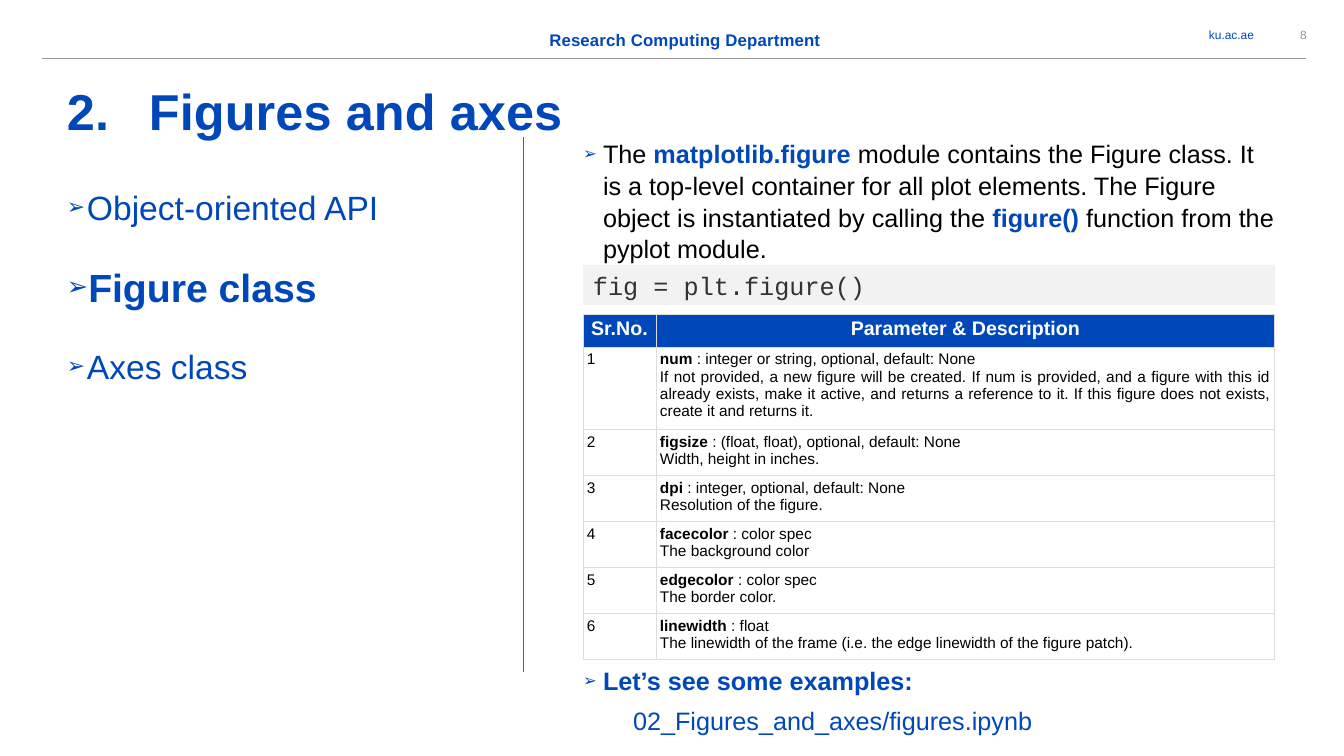
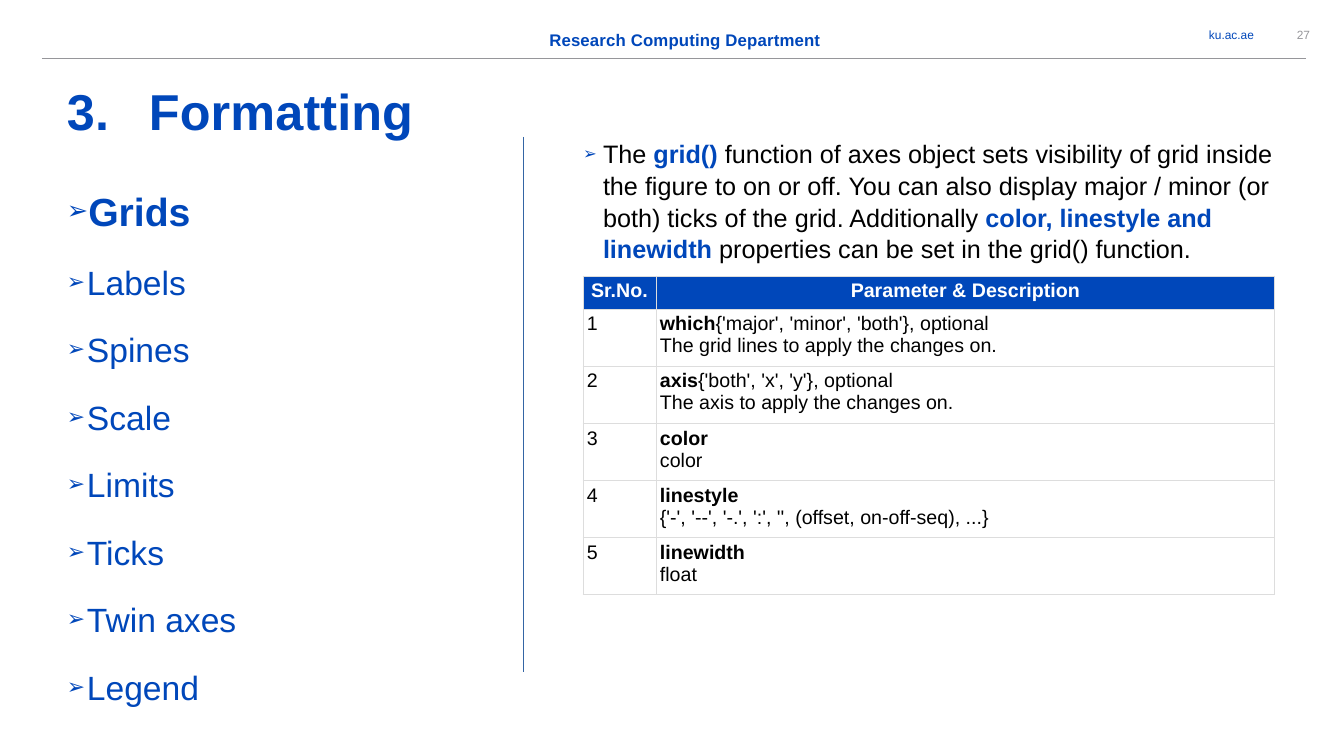
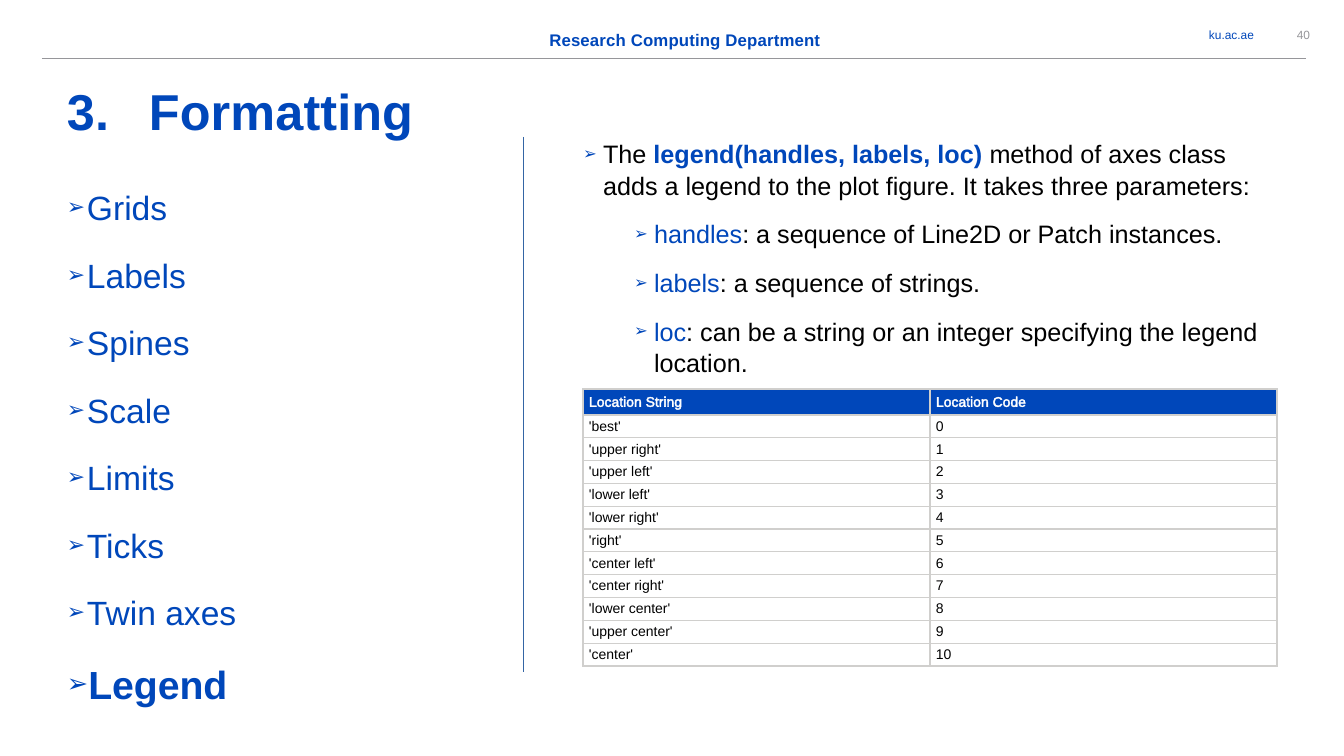
import pptx
import pptx.dml.color
import pptx.enum.shapes
import pptx.enum.text
import pptx.oxml.ns
import pptx.oxml.xmlchemy
import pptx.util
from lxml import etree

COLORS = {
    "blue": "0047BA", "gray": "96969A", "black": "000000", "white": "FFFFFF",
    "divider": "3465A4", "code_fill": "F2F2F2", "code_text": "333333",
    "grid": "DDDDDD", "location_grid": "D0CFCD",
}
PX_PER_INCH = 100.8
ALIGN = pptx.enum.text.PP_ALIGN
ANCHOR = pptx.enum.text.MSO_ANCHOR
HEADER_BOX = (42, 22, 1290, 37)
TITLE_BOX = (67, 77, 1209, 61)
TOPICS_BOX = (67, 185, 457, 500)
CONTENT_BOX = (583, 137, 692, 535)
FORMATTING_TOPICS = ["Grids", "Labels", "Spines", "Scale", "Limits", "Ticks", "Twin axes", "Legend"]


def px(length):
    """Turn px into EMU."""
    return pptx.util.Emu(round(length * 914400 / PX_PER_INCH))


def rgb(name):
    """Look up a colour by name."""
    return pptx.dml.color.RGBColor.from_string(COLORS[name])


def add_child(parent, tag, **attributes):
    """Append a drawing element with the given attributes."""
    return etree.SubElement(parent, pptx.oxml.ns.qn("a:" + tag), attributes)


def set_bullet(paragraph, margin, hang, start=None, mark=True):
    """Give a paragraph its indent and an arrow bullet or a number."""
    properties = paragraph._p.get_or_add_pPr()
    properties.set("marL", str(px(margin)))
    properties.set("indent", str(-px(hang)))
    if start:
        add_child(properties, "buFont", typeface="+mj-lt")
        add_child(properties, "buAutoNum", type="arabicPeriod", startAt=str(start))
    elif mark:
        add_child(add_child(properties, "buClr"), "srgbClr", val=COLORS["blue"])
        add_child(properties, "buSzPct", val="65000")
        add_child(properties, "buFont", typeface="Arial")
        add_child(properties, "buChar", char="➢")
    else:
        add_child(properties, "buNone")


def write(paragraph, runs, size, color="black", bold=False, align=ALIGN.LEFT,
          font="Arial", line_spacing=None, space_before=0, tracking=None):
    """Fill a paragraph with text, or with runs of (text, colour, bold)."""
    paragraph.alignment = align
    paragraph.space_before = pptx.util.Pt(space_before)
    if line_spacing:
        paragraph.line_spacing = line_spacing
    paragraph.font.name = font
    paragraph.font.size = pptx.util.Pt(size)
    if isinstance(runs, str):
        paragraph.font.color.rgb = rgb(color)
        paragraph.font.bold = bold
        paragraph.add_run().text = runs
    else:
        for text, run_color, run_bold in runs:
            run = paragraph.add_run()
            run.text = text
            run.font.color.rgb = rgb(run_color)
            run.font.bold = run_bold
    if tracking:
        paragraph._p.pPr.find(pptx.oxml.ns.qn("a:defRPr")).set("spc", str(tracking))


def next_paragraph(frame, index):
    """Return the first paragraph of a frame, or add one."""
    return frame.add_paragraph() if index else frame.paragraphs[0]


def add_text_box(slide, box, anchor=ANCHOR.TOP):
    """Add a wrapping text box without insets and return its frame."""
    frame = slide.shapes.add_textbox(*map(px, box)).text_frame
    frame.word_wrap = True
    frame.vertical_anchor = anchor
    frame.margin_left = frame.margin_right = frame.margin_top = frame.margin_bottom = 0
    return frame


def add_line(slide, start, end, color):
    """Draw a thin straight line."""
    line = slide.shapes.add_connector(
        pptx.enum.shapes.MSO_CONNECTOR.STRAIGHT, *map(px, start + end))
    line.line.color.rgb = rgb(color)
    line.line.width = pptx.util.Pt(0.75)
    add_child(line._element.spPr, "effectLst")


def add_header(slide, box, number):
    """Place department, web address, page number and rule."""
    left, top, width, height = box
    right = left + width
    frame = add_text_box(slide, (right - 184, top, 106, 26), ANCHOR.MIDDLE)
    write(frame.paragraphs[0], "ku.ac.ae", 8.5, "blue", align=ALIGN.RIGHT)
    add_line(slide, (left, top + height), (right - 26, top + height), "gray")
    frame = add_text_box(slide, (left + 482, top + 7, 322, 20))
    write(frame.paragraphs[0], "Research Computing Department", 12, "blue", True,
          ALIGN.CENTER, line_spacing=1.05, tracking=10)
    frame = add_text_box(slide, (right - 57, top, 57, 26), ANCHOR.MIDDLE)
    write(frame.paragraphs[0], str(number), 8.5, "gray", align=ALIGN.CENTER)


def add_title(slide, box, section, title):
    """Write the numbered section title."""
    paragraph = add_text_box(slide, box).paragraphs[0]
    set_bullet(paragraph, 82, 82, start=section)
    write(paragraph, title, 36, "blue", True, line_spacing=1.05, tracking=10)


def add_topics(slide, box, topics, active, gap):
    """List the topics with the active one larger and bold."""
    frame = add_text_box(slide, box)
    for index, topic in enumerate(topics):
        paragraph = next_paragraph(frame, index)
        set_bullet(paragraph, 20, 20)
        current = topic == active
        write(paragraph, topic, 28 if current else 24, "blue", current,
              line_spacing=1.05, space_before=gap if index else 0)


def add_points(slide, box, points, gap):
    """Write content points of (runs, margin, hang, marked)."""
    frame = add_text_box(slide, box)
    for index, (runs, margin, hang, marked) in enumerate(points):
        paragraph = next_paragraph(frame, index)
        set_bullet(paragraph, margin, hang, mark=marked)
        write(paragraph, runs, 18, line_spacing=1.05, space_before=gap if index else 0)


def add_code(slide, box, code):
    """Place a line of code on a gray band."""
    shape = slide.shapes.add_shape(pptx.enum.shapes.MSO_SHAPE.RECTANGLE, *map(px, box))
    shape.shadow.inherit = False
    shape.fill.solid()
    shape.fill.fore_color.rgb = rgb("code_fill")
    shape.line.fill.background()
    write(shape.text_frame.paragraphs[0], code, 18, "code_text", font="Courier New")


def style_cell(cell, fill, border, border_width, insets, anchor):
    """Set the fill, borders, insets and anchor of a cell."""
    cell.margin_left = cell.margin_right = px(insets[0])
    cell.margin_top = cell.margin_bottom = px(insets[1])
    cell.vertical_anchor = anchor
    properties = cell._tc.get_or_add_tcPr()
    for side in ("lnL", "lnR", "lnT", "lnB"):
        line = add_child(properties, side, w=str(pptx.util.Pt(border_width)))
        add_child(add_child(line, "solidFill"), "srgbClr", val=COLORS[border])
    cell.fill.solid()
    cell.fill.fore_color.rgb = rgb(fill)


def add_grid(slide, box, column_widths, header_height, weights, border,
             border_width=0.75, insets=(4, 4), anchor=ANCHOR.TOP):
    """Add a styled table whose body rows share the height by weight."""
    table = slide.shapes.add_table(
        len(weights) + 1, len(column_widths), *map(px, box)).table
    table.horz_banding = False
    for column, width in zip(table.columns, column_widths):
        column.width = px(width)
    unit = (box[3] - header_height) / sum(weights)
    heights = [header_height] + [weight * unit for weight in weights]
    for index, (row, height) in enumerate(zip(table.rows, heights)):
        row.height = px(height)
        for cell in row.cells:
            style_cell(cell, "white" if index else "blue", border, border_width, insets, anchor)
    return table


def add_parameter_table(slide, box, parameters, size, weights):
    """Fill a table of numbered parameters of (name, signature, description)."""
    table = add_grid(slide, box, (73, box[2] - 73), 33, weights, "grid")
    for column, heading in enumerate(("Sr.No.", "Parameter & Description")):
        write(table.cell(0, column).text_frame.paragraphs[0], heading, 14, "white", True, ALIGN.CENTER)
    for index, (name, signature, description) in enumerate(parameters, 1):
        write(table.cell(index, 0).text_frame.paragraphs[0], str(index), size)
        frame = table.cell(index, 1).text_frame
        runs = [(name, "black", True)]
        if signature:
            runs.append((signature, "black", False))
        write(frame.paragraphs[0], runs, size, align=ALIGN.JUSTIFY)
        write(frame.add_paragraph(), description, size, align=ALIGN.JUSTIFY)


def add_location_table(slide, box, locations):
    """Fill a table of location strings and their codes."""
    table = add_grid(slide, box, (box[2] / 2, box[2] / 2), 26, [1] * len(locations),
                     "location_grid", 1, (6, 3), ANCHOR.MIDDLE)
    rows = [("Location String", "Location Code")]
    rows += [(f"'{location}'", str(code)) for code, location in enumerate(locations)]
    for index, row in enumerate(rows):
        for column, text in enumerate(row):
            paragraph = table.cell(index, column).text_frame.paragraphs[0]
            write(paragraph, text, 10, "black" if index else "white")
            if index == 0:
                outline = add_child(paragraph.runs[0]._r.get_or_add_rPr(), "ln", w="9525")
                add_child(add_child(outline, "solidFill"), "srgbClr", val=COLORS["white"])


def add_section_slide(presentation, number, section, title, topics, active, gap):
    """Add a slide with header, title, topic list and divider."""
    slide = presentation.slides.add_slide(presentation.slide_layouts[6])
    add_header(slide, HEADER_BOX, number)
    add_title(slide, TITLE_BOX, section, title)
    add_topics(slide, TOPICS_BOX, topics, active, gap)
    left, top, _, height = CONTENT_BOX
    add_line(slide, (left - 59, top), (left - 59, top + height), "divider")
    return slide


def build_figure_slide(presentation, box):
    """Build the slide on the Figure class."""
    slide = add_section_slide(
        presentation, 8, 2, "Figures and axes",
        ["Object-oriented API", "Figure class", "Axes class"], "Figure class", 24)
    left, top, width, _ = box
    add_points(slide, (left, top, width, 122), [([
        ("The ", "black", False), ("matplotlib.figure", "blue", True),
        (" module contains the Figure class. It is a top-level container for all plot elements. "
         "The Figure object is instantiated by calling the ", "black", False),
        ("figure()", "blue", True), (" function from the pyplot module.", "black", False),
    ], 20, 20, True)], 0)
    add_code(slide, (left, top + 128, width, 40), "fig = plt.figure()")
    add_parameter_table(slide, (left, top + 177, width, 346), [
        ("num", " : integer or string, optional, default: None",
         "If not provided, a new figure will be created. If num is provided, and a figure with "
         "this id already exists, make it active, and returns a reference to it. If this figure "
         "does not exists, create it and returns it."),
        ("figsize", " : (float, float), optional, default: None", "Width, height in inches."),
        ("dpi", " : integer, optional, default: None", "Resolution of the figure."),
        ("facecolor", " : color spec", "The background color"),
        ("edgecolor", " : color spec", "The border color."),
        ("linewidth", " : float",
         "The linewidth of the frame (i.e. the edge linewidth of the figure patch)."),
    ], 11, [83] + [46] * 5)
    add_points(slide, (left, top + 527, width, 70), [
        ([("Let’s see some examples:", "blue", True)], 20, 20, True),
        ([("02_Figures_and_axes/figures.ipynb", "blue", False)], 50, 0, False),
    ], 6)


def build_grids_slide(presentation, box):
    """Build the slide on grids."""
    slide = add_section_slide(
        presentation, 27, 3, "Formatting", FORMATTING_TOPICS, "Grids", 18)
    left, top, width, _ = box
    add_points(slide, (left, top, width, 122), [([
        ("The ", "black", False), ("grid()", "blue", True),
        (" function of axes object sets visibility of grid inside the figure to on or off. "
         "You can also display major / minor (or both) ticks of the grid. Additionally ",
         "black", False),
        ("color, linestyle and linewidth", "blue", True),
        (" properties can be set in the grid() function.", "black", False),
    ], 20, 20, True)], 0)
    add_parameter_table(slide, (left, top + 139, width, 319), [
        ("which", "{'major', 'minor', 'both'}, optional", "The grid lines to apply the changes on."),
        ("axis", "{'both', 'x', 'y'}, optional", "The axis to apply the changes on."),
        ("color", "", "color"),
        ("linestyle", "", "{'-', '--', '-.', ':', '', (offset, on-off-seq), ...}"),
        ("linewidth", "", "float"),
    ], 14, [1] * 5)


def build_legend_slide(presentation, box):
    """Build the slide on legends."""
    slide = add_section_slide(
        presentation, 40, 3, "Formatting", FORMATTING_TOPICS, "Legend", 18)
    left, top, width, _ = box
    points = [([
        ("The ", "black", False), ("legend(handles, labels, loc) ", "blue", True),
        ("method of axes class adds a legend to the plot figure. It takes three parameters:",
         "black", False),
    ], 20, 20, True)]
    for name, meaning in (
        ("handles", ": a sequence of Line2D or Patch instances."),
        ("labels", ": a sequence of strings."),
        ("loc", ": can be a string or an integer specifying the legend location."),
    ):
        points.append(([(name, "blue", False), (meaning, "black", False)], 71, 20, True))
    add_points(slide, (left, top, width, 240), points, 12)
    add_location_table(slide, (left, top + 252, width + 2, 273), [
        "best", "upper right", "upper left", "lower left", "lower right", "right",
        "center left", "center right", "lower center", "upper center", "center"])


def main():
    """Build and save the presentation."""
    presentation = pptx.Presentation()
    presentation.slide_width = px(1344)
    presentation.slide_height = px(756)
    for build in (build_figure_slide, build_grids_slide, build_legend_slide):
        build(presentation, CONTENT_BOX)
    presentation.save("out.pptx")


if __name__ == "__main__":
    main()
